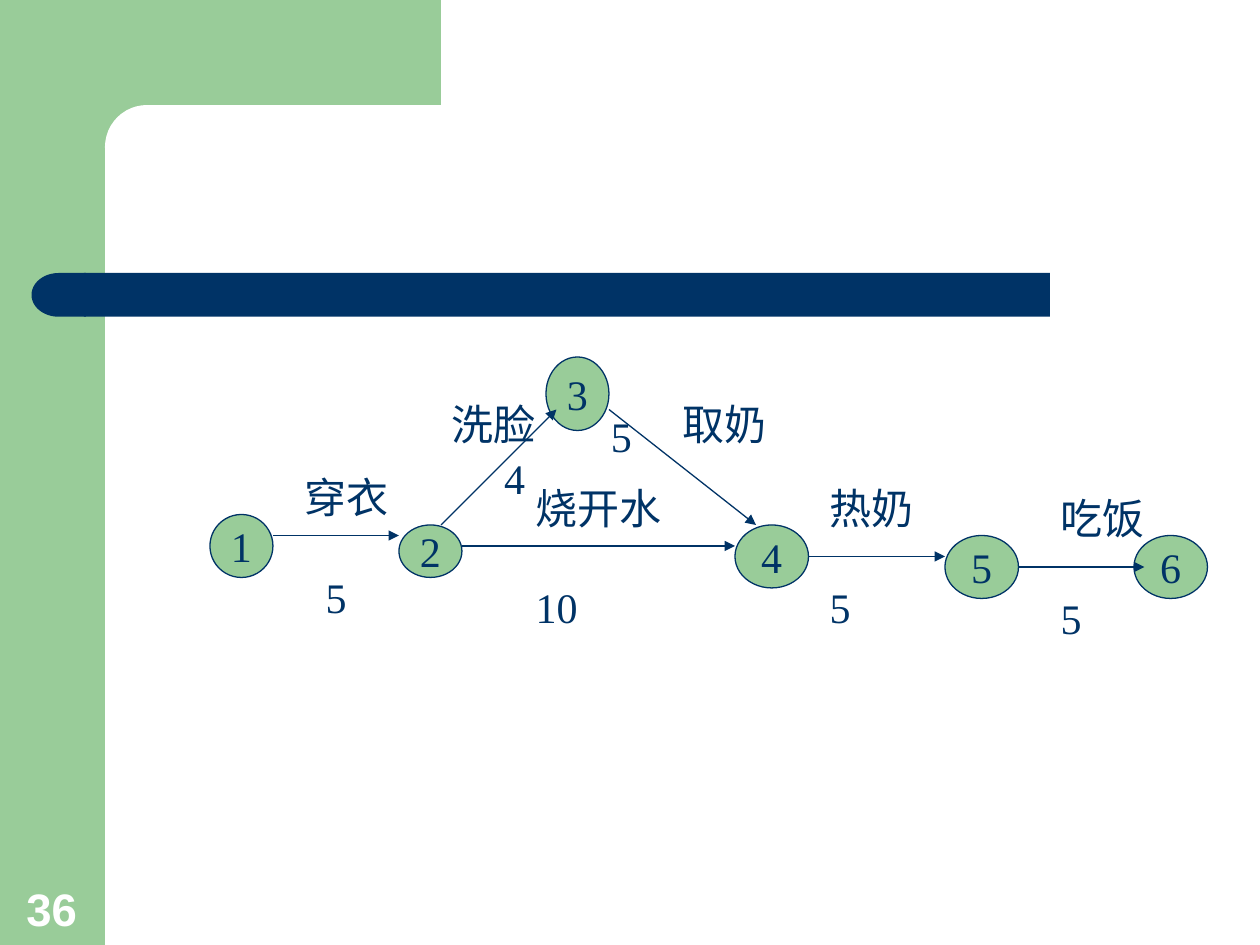
from pptx import Presentation
from pptx.dml.color import RGBColor
from pptx.enum.shapes import MSO_CONNECTOR, MSO_SHAPE
from pptx.enum.text import MSO_ANCHOR, PP_ALIGN
from pptx.oxml.ns import qn
from pptx.util import Pt
from lxml.etree import SubElement

GREEN, NAVY, WHITE = "99CC99", "003366", "FFFFFF"


def rgb(value):
    return RGBColor.from_string(value)


class Diagram:
    font = "Times New Roman"
    size = 24
    line_width = 0.75

    def __init__(self, slide):
        self.slide = slide

    def style(self, p, color=NAVY, font=None, size=None, bold=False):
        for r in p.runs:
            r.font.name = font or self.font
            r.font.size = Pt(size or self.size)
            r.font.bold = bold
            r.font.color.rgb = rgb(color)

    def block(self, kind, box, fill):
        sp = self.slide.shapes.add_shape(kind, *map(Pt, box))
        sp.shadow.inherit = False
        sp.fill.solid()
        sp.fill.fore_color.rgb = rgb(fill)
        sp.line.fill.background()
        return sp

    def node(self, label, box):
        sp = self.block(MSO_SHAPE.OVAL, box, GREEN)
        sp.line.color.rgb = rgb(NAVY)
        sp.line.width = Pt(self.line_width)
        tf = sp.text_frame
        tf.word_wrap = False
        tf.vertical_anchor = MSO_ANCHOR.MIDDLE
        tf.text = label
        tf.paragraphs[0].alignment = PP_ALIGN.CENTER
        self.style(tf.paragraphs[0])

    def arrow(self, *ends):
        cxn = self.slide.shapes.add_connector(MSO_CONNECTOR.STRAIGHT, *map(Pt, ends))
        cxn.line.color.rgb = rgb(NAVY)
        cxn.line.width = Pt(self.line_width)
        SubElement(cxn.line._get_or_add_ln(), qn("a:tailEnd"), type="triangle")
        SubElement(cxn._element.spPr, qn("a:effectLst"))

    def text(self, text, box, **look):
        tf = self.slide.shapes.add_textbox(*map(Pt, box)).text_frame
        tf.word_wrap = True
        tf.text = text
        self.style(tf.paragraphs[0], **look)
        return tf

    def task(self, name, duration, box, indent=0):
        tf = self.text(name, box)
        p = tf.add_paragraph()
        p.text = duration
        p.space_before = Pt(28)
        p._p.get_or_add_pPr().set("marL", str(Pt(indent)))
        self.style(p)


def main():
    prs = Presentation()
    prs.slide_width, prs.slide_height = Pt(720), Pt(540)
    s = prs.slides.add_slide(prs.slide_layouts[6])
    d = Diagram(s)

    d.block(MSO_SHAPE.RECTANGLE, (0, 0, 60, 540), GREEN)
    d.block(MSO_SHAPE.RECTANGLE, (54, 0, 198, 84), GREEN)
    panel = d.block(MSO_SHAPE.ROUNDED_RECTANGLE, (60, 60, 402, 48), WHITE)
    panel.adjustments[0] = 0.5
    d.block(MSO_SHAPE.RECTANGLE, (48, 156, 552, 25), NAVY)
    cap = d.block(MSO_SHAPE.FLOWCHART_DELAY, (18, 156, 31, 25), NAVY)
    cap.rotation = 180

    for label, box in (
        ("1", (120, 294, 36, 36)),
        ("2", (228, 300, 36, 30)),
        ("4", (420, 300, 42, 36)),
        ("3", (312, 204, 36, 42)),
        ("5", (540, 306, 42, 36)),
        ("6", (648, 306, 42, 36)),
    ):
        d.node(label, box)

    for ends in (
        (156, 306, 228, 306),
        (264, 312, 420, 312),
        (462, 318, 540, 318),
        (582, 324, 654, 324),
        (252, 300, 318, 234),
        (348, 234, 432, 300),
    ):
        d.arrow(*ends)

    d.task("穿衣", "5", (167, 266, 64, 94), indent=12)
    d.task("烧开水", "10", (299, 272, 88, 94))
    d.task("热奶", "5", (467, 272, 64, 94))
    d.task("吃饭", "5", (599, 278, 64, 94))

    for text, box in (
        ("洗脸", (251, 224, 64, 36)),
        ("4", (281, 255, 28, 36)),
        ("取奶", (383, 224, 64, 36)),
        ("5", (342, 231, 28, 36)),
    ):
        d.text(text, box)

    tf = d.text("36", (8, 499, 46, 39), color=WHITE, font="Arial", size=26, bold=True)
    tf.vertical_anchor = MSO_ANCHOR.BOTTOM

    prs.save("out.pptx")


if __name__ == "__main__":
    main()
